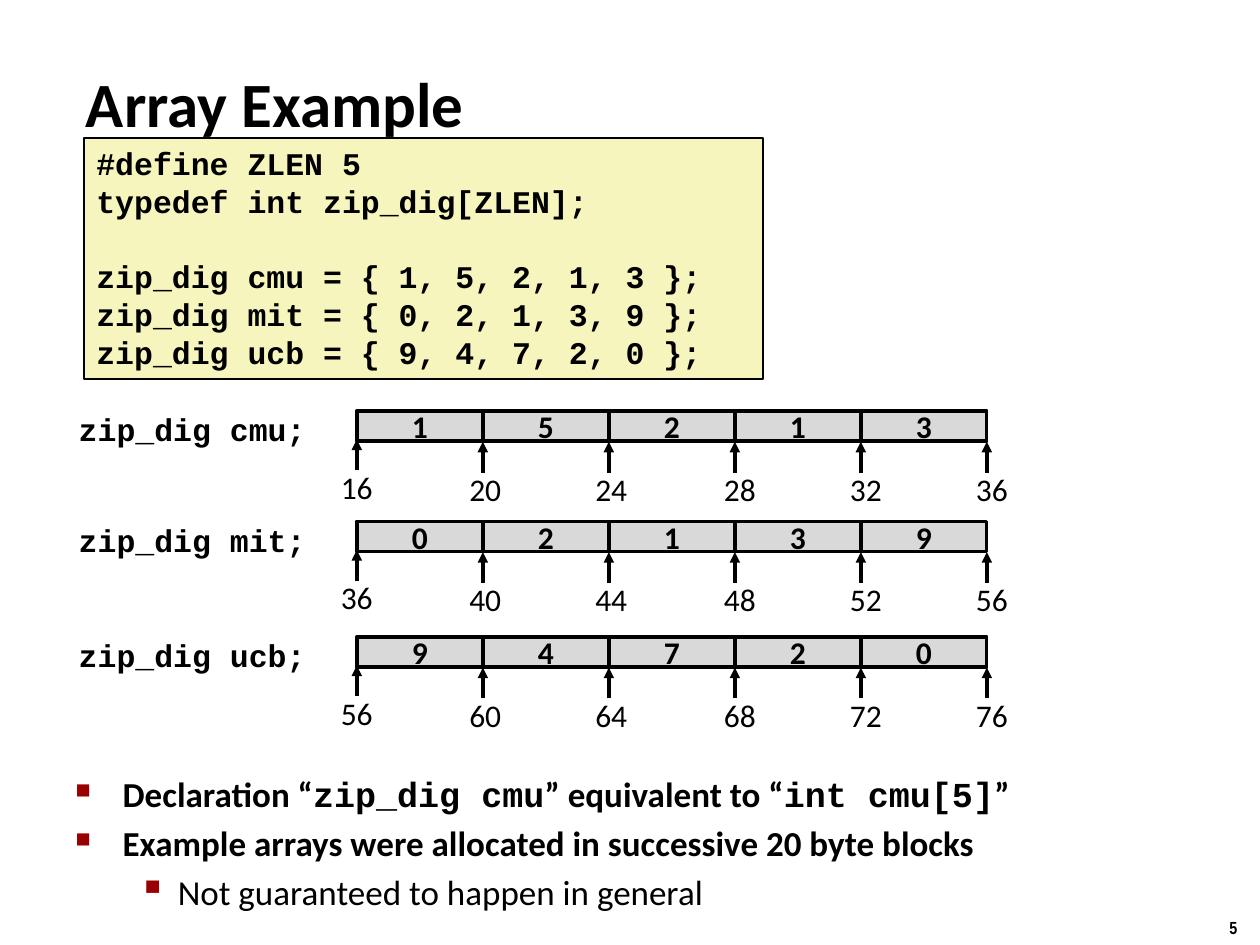
import pptx
import pptx.dml.color
import pptx.enum.shapes
import pptx.enum.text
import pptx.oxml
import pptx.oxml.ns
import pptx.util

Pt = pptx.util.Pt
Align = pptx.enum.text.PP_ALIGN
Anchor = pptx.enum.text.MSO_ANCHOR
COLORS = {
    "ink": "000000",
    "code": "F6F5BD",
    "cell": "D9D9D9",
    "bullet": "990000",
}


def color(name):
    return pptx.dml.color.RGBColor.from_string(COLORS[name])


def add_xml(parent, tag, **values):
    child = pptx.oxml.parse_xml(f"<a:{tag} {pptx.oxml.ns.nsdecls('a')}/>")
    for name, value in values.items():
        child.set(name, str(value))
    parent.append(child)
    return child


def set_values(target, values):
    for name, value in values.items():
        setattr(target, name, value)


class SlideBuilder:
    body_font = "Calibri"
    code_font = "Courier New"

    def __init__(self, deck):
        self.page = deck.slides.add_slide(deck.slide_layouts[6])
        self.canvas = self.page.shapes

    def start_group(self):
        self.canvas = self.page.shapes.add_group_shape().shapes

    def end_group(self):
        self.canvas = self.page.shapes

    def fill_para(self, para, runs, size, bold, **layout):
        set_values(para, layout)
        for text, font in runs:
            span = para.add_run()
            span.text = text
            set_values(span.font, {"name": font, "size": Pt(size), "bold": bold})
            span.font.color.rgb = color("ink")

    def text(self, area, text, size=18, font=body_font, bold=False,
             align=Align.LEFT, anchor=Anchor.TOP, wrap=True):
        box = self.canvas.add_textbox(*map(Pt, area))
        set_values(box.text_frame, {"word_wrap": wrap, "vertical_anchor": anchor})
        self.fill_para(box.text_frame.paragraphs[0], [(text, font)], size, bold,
                       alignment=align)

    def rectangle(self, area, fill, line_width, anchor, wrap):
        box = self.canvas.add_shape(
            pptx.enum.shapes.MSO_SHAPE.RECTANGLE, *map(Pt, area))
        box.shadow.inherit = False
        box.fill.solid()
        box.fill.fore_color.rgb = color(fill)
        box.line.color.rgb = color("ink")
        box.line.width = Pt(line_width)
        set_values(box.text_frame, {"word_wrap": wrap, "vertical_anchor": anchor})
        return box.text_frame

    def code(self, area, blocks):
        frame = self.rectangle(area, "code", 1, Anchor.TOP, True)
        para = frame.paragraphs[0]
        for block_index, block in enumerate(blocks):
            for line_index, line in enumerate(block):
                if block_index or line_index:
                    para = frame.add_paragraph()
                gap = 21.6 if block_index and not line_index else 0
                self.fill_para(para, [(line, self.code_font)], 18, True,
                               alignment=Align.LEFT, line_spacing=Pt(21.6),
                               space_before=Pt(gap))

    def cell(self, area, text):
        frame = self.rectangle(area, "cell", 2, Anchor.MIDDLE, False)
        self.fill_para(frame.paragraphs[0], [(text, self.body_font)], 18, True,
                       alignment=Align.CENTER)

    def arrow_up(self, x, bottom, top):
        arrow = self.canvas.add_connector(
            pptx.enum.shapes.MSO_CONNECTOR.STRAIGHT,
            Pt(x), Pt(bottom), Pt(x), Pt(top))
        arrow.line.color.rgb = color("ink")
        arrow.line.width = Pt(2)
        add_xml(arrow.line._get_or_add_ln(), "tailEnd", type="triangle")
        add_xml(arrow._element.spPr, "effectLst")

    def bullets(self, area, items):
        box = self.canvas.add_textbox(*map(Pt, area))
        frame = box.text_frame
        frame.word_wrap = True
        for index, (level, runs) in enumerate(items):
            para = frame.add_paragraph() if index else frame.paragraphs[0]
            left, hanging, mark, percent = [
                (27, 27, "\u25a0", 60), (58.5, 22.5, "\u25aa", 110)][level]
            self.fill_para(para, runs, 20, level == 0, level=level,
                           space_before=Pt(4))
            properties = para._p.get_or_add_pPr()
            properties.set("marL", str(int(Pt(left))))
            properties.set("indent", str(-int(Pt(hanging))))
            tint = add_xml(properties, "buClr")
            add_xml(tint, "srgbClr", val=COLORS["bullet"])
            add_xml(properties, "buSzPct", val=percent * 1000)
            add_xml(properties, "buChar", char=mark)

    def array(self, name, digits, address, top):
        left, width, height = 203.9, 72, 17.4
        self.text((6, top - 3.8, 175.7, 29), f"zip_dig {name};",
                  font=self.code_font, bold=True, align=Align.RIGHT)
        self.start_group()
        for index, digit in enumerate(digits):
            self.cell((left + index * width, top, width, height), str(digit))
        for index in range(len(digits) + 1):
            x = left + index * width
            drop = 1.2 if index else 0
            shift = 0 if index == 0 else 1.4 if index < 3 else 2.9
            self.text((x + shift - 39, top + 29 + drop, 78, 29),
                      str(address + 4 * index), align=Align.CENTER)
            self.arrow_up(x, top + 34 + drop, top + 16.4 + drop)
        self.end_group()


deck = pptx.Presentation()
deck.slide_width, deck.slide_height = Pt(720), Pt(540)
page = SlideBuilder(deck)
arrays = {"cmu": [1, 5, 2, 1, 3], "mit": [0, 2, 1, 3, 9], "ucb": [9, 4, 7, 2, 0]}

page.text((695.5, 520.5, 24.5, 19.5), "5", 10, "Arial Narrow", True, wrap=False)
page.text((42, 36, 431, 45.4), "Array Example", 36, bold=True, anchor=Anchor.MIDDLE)
page.bullets((36, 437.8, 660, 108.7), [
    (0, [("Declaration \u201c", page.body_font), ("zip_dig cmu", page.code_font),
         ("\u201d equivalent to \u201c", page.body_font),
         ("int cmu[5]", page.code_font), ("\u201d", page.body_font)]),
    (0, [("Example arrays were allocated in successive 20 byte blocks",
          page.body_font)]),
    (1, [("Not guaranteed to happen in general", page.body_font)]),
])
page.code((48, 78.7, 388, 138), [
    ["#define ZLEN 5", "typedef int zip_dig[ZLEN];"],
    [f"zip_dig {name} = {{ {', '.join(map(str, digits))} }};"
     for name, digits in arrays.items()],
])
for (name, digits), address, top in zip(
        arrays.items(), (16, 36, 56), (234.8, 297.9, 363.9)):
    page.array(name, digits, address, top)

deck.save("out.pptx")
